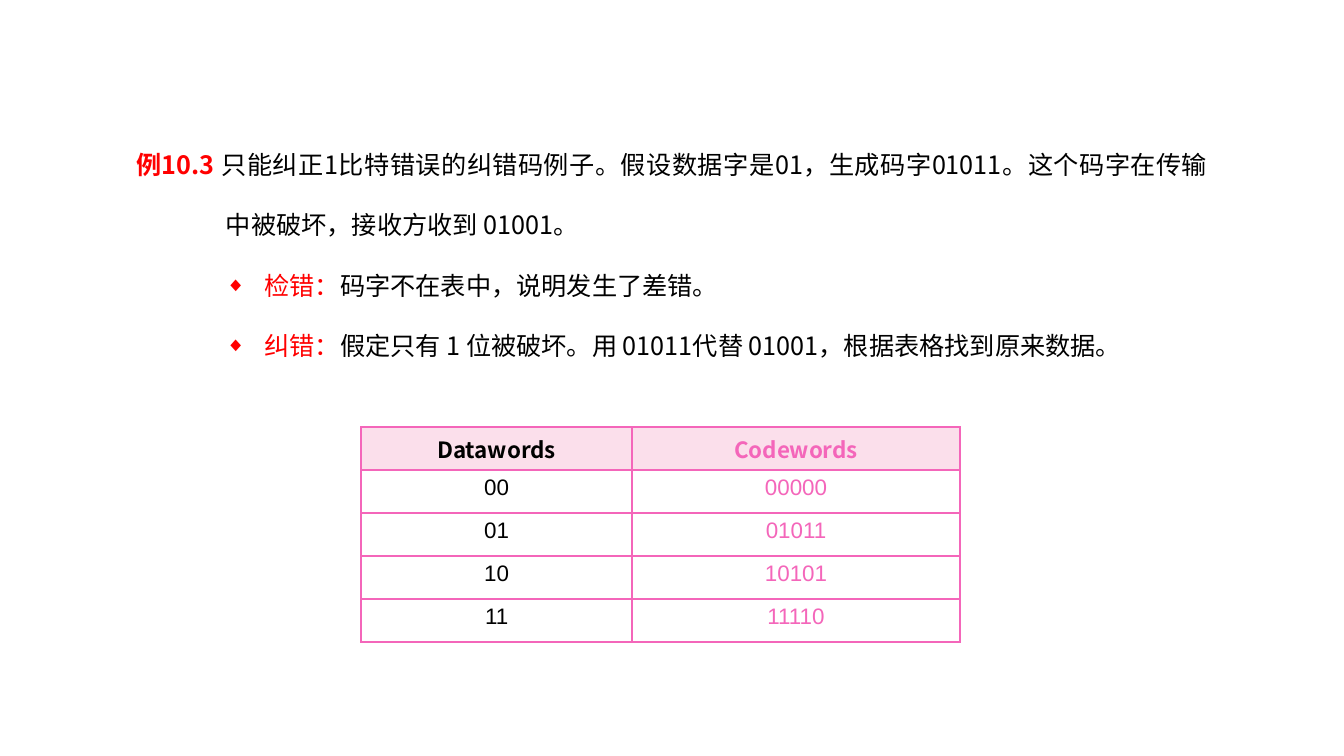
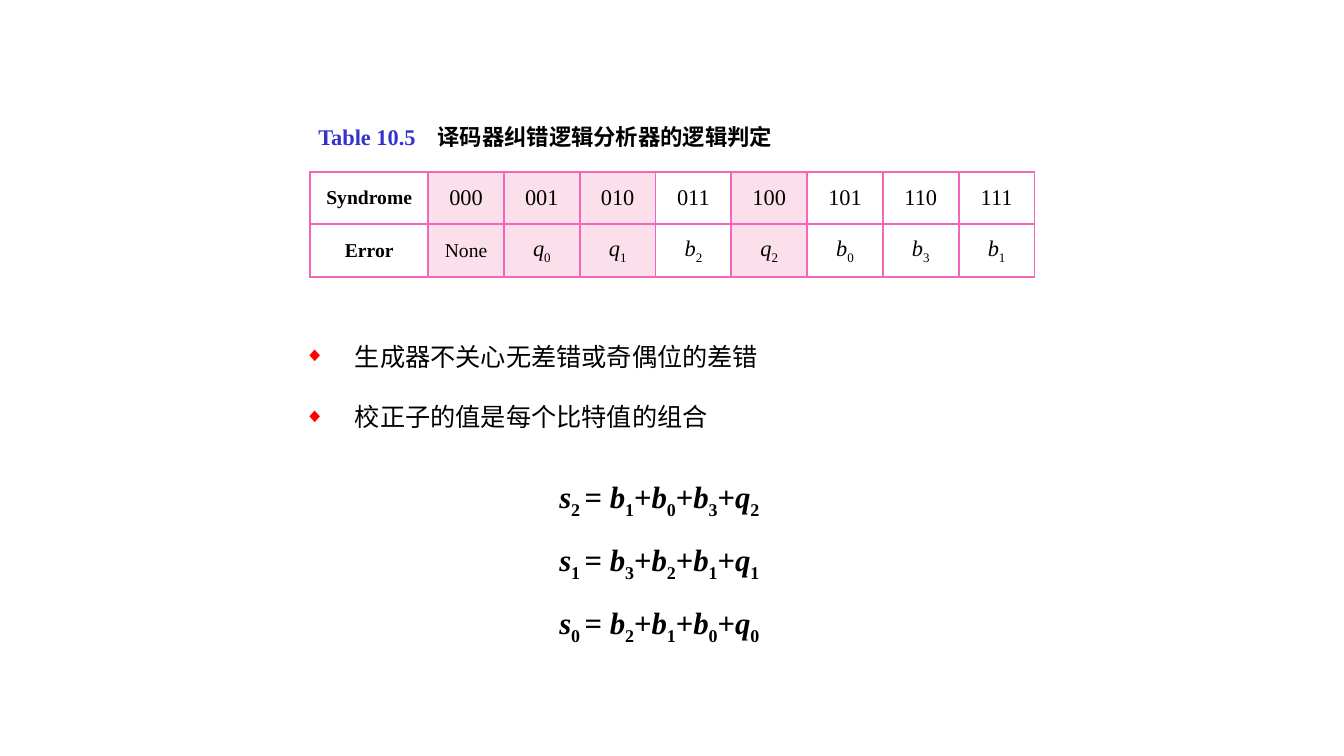
from pptx import Presentation
from pptx.dml.color import RGBColor
from pptx.enum.text import MSO_ANCHOR, MSO_AUTO_SIZE, PP_ALIGN
from pptx.oxml import parse_xml
from pptx.oxml.ns import nsdecls, qn
from pptx.util import Cm, Pt

BLACK = RGBColor(0x00, 0x00, 0x00)
WHITE = RGBColor(0xFF, 0xFF, 0xFF)
RED = RGBColor(0xFF, 0x00, 0x00)
BLUE = RGBColor(0x33, 0x33, 0xCC)
PINK = RGBColor(0xF4, 0x66, 0xBA)
PALE_PINK = RGBColor(0xFB, 0xDF, 0xEB)

SANS = "Noto Sans CJK SC"
SERIF = "Times New Roman"
ARIAL = "Arial"


# Text
def add_run(paragraph, text, size, font=SANS, color=BLACK, bold=False,
            italic=False, subscript=False):
    run = paragraph.add_run()
    run.text = text
    run.font.size = Pt(size)
    run.font.name = font
    run.font.bold = bold
    run.font.italic = italic
    run.font.color.rgb = color
    properties = run._r.get_or_add_rPr()
    if subscript:
        properties.set("baseline", "-25000")
    properties.find(qn("a:latin")).addnext(
        parse_xml(f'<a:ea {nsdecls("a")} typeface="{SANS}"/>'))


def add_symbol(paragraph, letter, index, size, bold=False):
    add_run(paragraph, letter, size, SERIF, bold=bold, italic=True)
    add_run(paragraph, index, size, SERIF, bold=bold, subscript=True)


def next_paragraph(frame, first):
    return frame.paragraphs[0] if first else frame.add_paragraph()


def format_list_item(paragraph, margin, hanging, bullet=True):
    paragraph.line_spacing = 2.0
    paragraph.space_before = Pt(0)
    properties = paragraph._p.get_or_add_pPr()
    properties.set("marL", str(Cm(margin)))
    properties.set("indent", str(-Cm(hanging)))
    if not bullet:
        properties.append(parse_xml(f'<a:buNone {nsdecls("a")}/>'))
        return
    for xml in (f'<a:buClr {nsdecls("a")}><a:srgbClr val="{RED}"/></a:buClr>',
                f'<a:buSzPct {nsdecls("a")} val="80000"/>',
                f'<a:buChar {nsdecls("a")} char="◆"/>'):
        properties.append(parse_xml(xml))


def place(shape, left, top, width, height):
    shape.left, shape.top = Cm(left), Cm(top)
    shape.width, shape.height = Cm(width), Cm(height)
    frame = shape.text_frame
    frame.word_wrap = True
    frame.auto_size = MSO_AUTO_SIZE.NONE
    frame.vertical_anchor = MSO_ANCHOR.TOP
    return frame


# Tables
def add_grid(slide, left, top, widths, heights):
    frame = slide.shapes.add_table(len(heights), len(widths), Cm(left), Cm(top),
                                   Cm(sum(widths)), Cm(sum(heights)))
    grid = frame.table
    grid.first_row = grid.horz_banding = False
    for column, width in zip(grid.columns, widths):
        column.width = Cm(width)
    for row, height in zip(grid.rows, heights):
        row.height = Cm(height)
    return grid


def format_cell(cell, fill, anchor=MSO_ANCHOR.TOP):
    """Border and fill a cell; return its centred paragraph."""
    properties = cell._tc.get_or_add_tcPr()
    for side in ("lnL", "lnR", "lnT", "lnB"):
        properties.append(parse_xml(
            f'<a:{side} {nsdecls("a")} w="{Pt(1.5)}"><a:solidFill>'
            f'<a:srgbClr val="{PINK}"/></a:solidFill></a:{side}>'))
    cell.fill.solid()
    cell.fill.fore_color.rgb = fill
    cell.vertical_anchor = anchor
    paragraph = cell.text_frame.paragraphs[0]
    paragraph.alignment = PP_ALIGN.CENTER
    return paragraph


# Slide 1: example of an error-correcting code
def add_example(body, left, top, width, height):
    frame = place(body, left, top, width, height)
    body.fill.solid()
    body.fill.fore_color.rgb = WHITE
    items = [
        ("例10.3 ", "只能纠正1比特错误的纠错码例子。假设数据字是01，生成码字01011。"
         "这个码字在传输中被破坏，接收方收到 01001。"),
        ("检错：", "码字不在表中，说明发生了差错。"),
        ("纠错：", "假定只有 1 位被破坏。用 01011代替 01001，根据表格找到原来数据。"),
    ]
    for number, (label, text) in enumerate(items):
        first = number == 0
        paragraph = next_paragraph(frame, first)
        paragraph.alignment = PP_ALIGN.JUSTIFY
        if first:
            format_list_item(paragraph, 2.26, 2.26, bullet=False)
        else:
            format_list_item(paragraph, 3.23, 0.98)
        add_run(paragraph, label, 18, color=RED, bold=first)
        add_run(paragraph, text, 18)


def add_codeword_table(slide, left, top):
    rows = [("Datawords", "Codewords"), ("00", "00000"), ("01", "01011"),
            ("10", "10101"), ("11", "11110")]
    grid = add_grid(slide, left, top, [6.83, 8.26], [1.08] * len(rows))
    for r, row in enumerate(rows):
        header = r == 0
        for c, (text, color) in enumerate(zip(row, (BLACK, PINK))):
            paragraph = format_cell(grid.cell(r, c), PALE_PINK if header else WHITE)
            add_run(paragraph, text, 16, SANS if header else ARIAL, color, bold=header)


def build_example_slide(prs):
    slide = prs.slides.add_slide(prs.slide_layouts[1])
    title = slide.shapes.title
    title._element.getparent().remove(title._element)
    add_example(slide.placeholders[1], 3.18, 2.87, 27.5, 6.17)
    add_codeword_table(slide, 9.1, 10.77)


# Slide 2: decisions of the correction logic analyzer
def add_caption(title, left, top, width, height):
    paragraph = place(title, left, top, width, height).paragraphs[0]
    paragraph.alignment = PP_ALIGN.LEFT
    paragraph._p.get_or_add_pPr().append(parse_xml(
        f'<a:tabLst {nsdecls("a")}><a:tab pos="{Cm(3)}" algn="l"/></a:tabLst>'))
    add_run(paragraph, "Table 10.5\t", 16, SERIF, BLUE, bold=True)
    add_run(paragraph, "译码器纠错逻辑分析器的逻辑判定", 16, SERIF, bold=True)


def add_syndrome_table(slide, left, top):
    errors = ["None", "q0", "q1", "b2", "q2", "b0", "b3", "b1"]
    grid = add_grid(slide, left, top, [2.97] + [1.91] * len(errors), [1.3, 1.35])
    for r, label in enumerate(("Syndrome", "Error")):
        paragraph = format_cell(grid.cell(r, 0), WHITE, MSO_ANCHOR.MIDDLE)
        add_run(paragraph, label, 14, SERIF, bold=True)
    for number, error in enumerate(errors):
        fill = WHITE if error.startswith("b") else PALE_PINK
        syndrome, decision = (
            format_cell(grid.cell(r, number + 1), fill, MSO_ANCHOR.MIDDLE)
            for r in range(2))
        add_run(syndrome, f"{number:03b}", 16, SERIF)
        if error == "None":
            add_run(decision, error, 14, SERIF)
        else:
            add_symbol(decision, *error, 16)


def add_remarks(body, left, top, width, height):
    frame = place(body, left, top, width, height)
    for number, remark in enumerate(("生成器不关心无差错或奇偶位的差错",
                                     "校正子的值是每个比特值的组合")):
        paragraph = next_paragraph(frame, number == 0)
        format_list_item(paragraph, 1.27, 1.27)
        add_run(paragraph, remark, 18)


def add_equations(slide, left, top, width, height):
    box = slide.shapes.add_textbox(Cm(left), Cm(top), Cm(width), Cm(height))
    frame = place(box, left, top, width, height)
    equations = [("2", ("b1", "b0", "b3", "q2")),
                 ("1", ("b3", "b2", "b1", "q1")),
                 ("0", ("b2", "b1", "b0", "q0"))]
    for number, (index, terms) in enumerate(equations):
        paragraph = next_paragraph(frame, number == 0)
        paragraph.alignment = PP_ALIGN.CENTER
        paragraph.line_spacing = 1.5
        add_symbol(paragraph, "s", index + " ", 22, bold=True)
        for position, term in enumerate(terms):
            add_run(paragraph, "+" if position else "= ", 22, SERIF, bold=True)
            add_symbol(paragraph, *term, 22, bold=True)


def build_syndrome_slide(prs):
    slide = prs.slides.add_slide(prs.slide_layouts[1])
    add_caption(slide.shapes.title, 7.77, 2.97, 13, 0.94)
    add_remarks(slide.placeholders[1], 7.42, 7.7, 16.7, 3.1)
    add_equations(slide, 9.73, 11.38, 13.77, 4.32)
    add_syndrome_table(slide, 7.82, 4.34)


def main():
    prs = Presentation()
    prs.slide_width, prs.slide_height = Cm(33.87), Cm(19.05)
    build_example_slide(prs)
    build_syndrome_slide(prs)
    prs.save("out.pptx")


if __name__ == "__main__":
    main()
